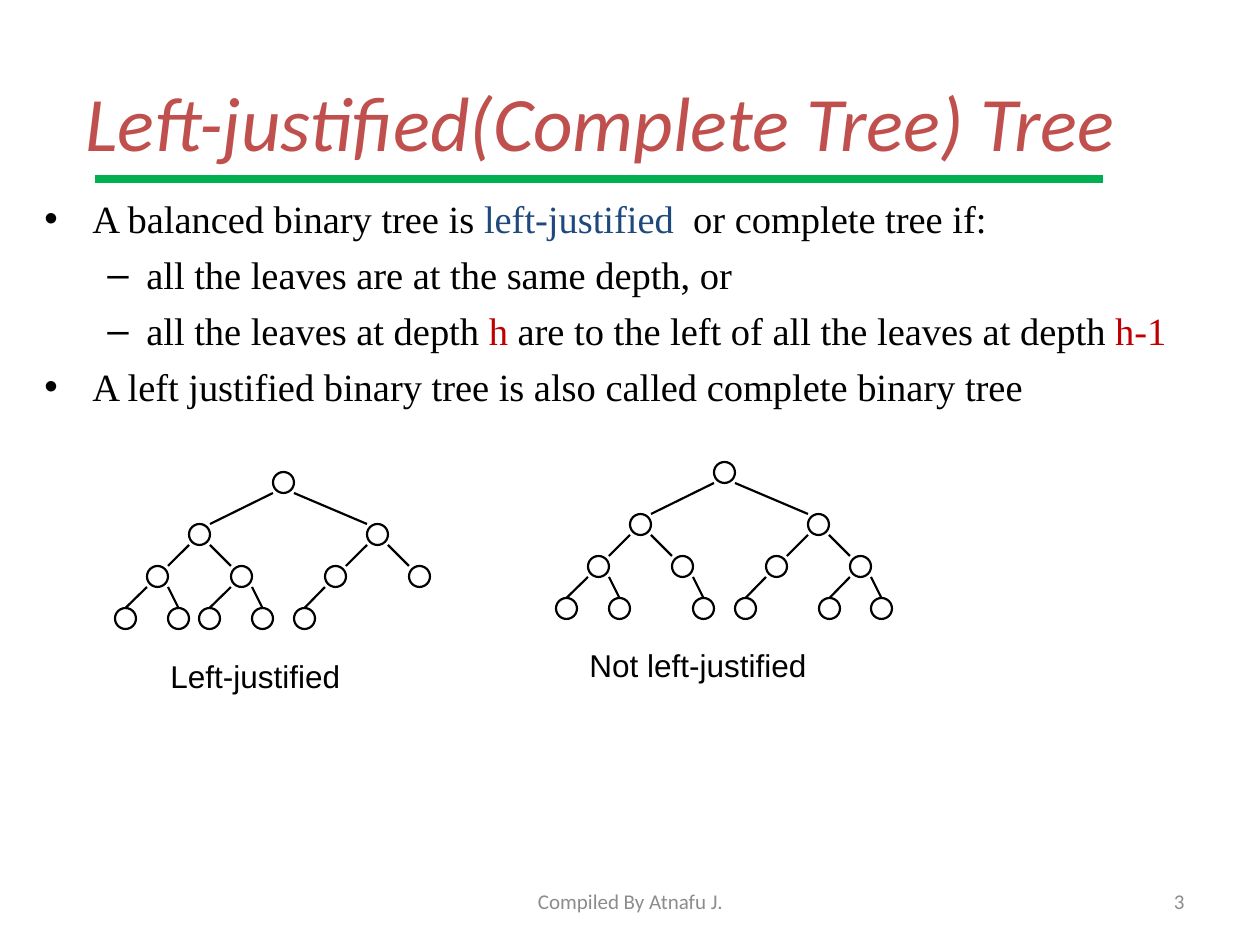
from lxml.etree import SubElement
from pptx import Presentation
from pptx.dml.color import RGBColor
from pptx.enum.shapes import MSO_CONNECTOR as CONN, MSO_SHAPE as SHAPE
from pptx.enum.text import MSO_ANCHOR as ANCHOR, PP_ALIGN as ALIGN
from pptx.oxml.ns import qn
from pptx.util import Pt

# Content
COLORS = {"title": "C0504D", "rule": "00B050", "text": "000000",
          "term": "1F497D", "depth": "C00000", "footer": "8C8C8C"}
FORMATS = {
    "title": {"name": "Calibri", "size": Pt(44), "italic": True},
    "body": {"name": "Times New Roman", "size": Pt(22)},
    "label": {"name": "Arial", "size": Pt(18)},
    "footer": {"name": "Calibri", "size": Pt(12)},
}
TITLE = "Left-justified(Complete Tree) Tree"
BULLETS = [  # level, runs of (text, colour)
    (0, [("A balanced binary tree is ", "text"), ("left-justified", "term"),
         ("  or complete tree if:", "text")]),
    (1, [("all the leaves are at the same depth, or", "text")]),
    (1, [("all the leaves at depth ", "text"), ("h", "depth"),
         (" are to the left of all the leaves at depth ", "text"),
         ("h-1", "depth")]),
    (0, [("A left justified binary tree is also called complete binary tree",
          "text")]),
]
LEVELS = [("•", 48, 48), ("–", 102, 39)]  # bullet, margin, hanging indent
TREES = [  # root left and top, leaves present, label and its box
    ((273, 472), range(8, 13), "Left-justified", (158, 651, 262, 63)),
    ((714, 462), (8, 9, 11, 12, 14, 15), "Not left-justified",
     (577, 640, 336, 63)),
]
# Node offsets from the root, numbered like a heap: children of n are 2n, 2n+1
NODE_X = [0, -84, 94, -126, -42, 52, 136, -158, -105, -74, -21, 21, 74, 105, 157]
DEPTH_Y = [0, 52, 94, 136]
NODE = 21

PX = 914400 / 126


def emu(*lengths):
    return [round(v * PX) for v in lengths]


def add_text(shapes, box, paragraphs, style, align=ALIGN.LEFT, anchor=ANCHOR.TOP):
    """Paragraphs are (level or None, runs); a level brings a bullet."""
    tf = shapes.add_textbox(*emu(*box)).text_frame
    tf.word_wrap = True
    tf.vertical_anchor = anchor
    for i, (level, runs) in enumerate(paragraphs):
        p = tf.paragraphs[0] if i == 0 else tf.add_paragraph()
        p.alignment = align
        if i:
            p.space_before = Pt(5.5)
        if level is not None:
            char, margin, hang = LEVELS[level]
            p.level = level
            pPr = p._p.get_or_add_pPr()
            pPr.set("marL", str(emu(margin)[0]))
            pPr.set("indent", str(-emu(hang)[0]))
            SubElement(pPr, qn("a:buFont"), typeface="Arial")
            SubElement(pPr, qn("a:buChar"), char=char)
        for text, color in runs:
            r = p.add_run()
            r.text = text
            for key, value in FORMATS[style].items():
                setattr(r.font, key, value)
            r.font.color.rgb = RGBColor.from_string(COLORS[color])


def add_line(shapes, start, end, color, width):
    line = shapes.add_connector(CONN.STRAIGHT, *emu(*start, *end))
    line.line.color.rgb = RGBColor.from_string(COLORS[color])
    line.line.width = Pt(width)
    SubElement(line._element.spPr, qn("a:effectLst"))


def add_tree(shapes, root, leaves, label, label_box):
    group = shapes.add_group_shape().shapes
    add_text(group, label_box, [(None, [(label, "text")])], "label")
    nodes = {n: (root[0] + NODE_X[n - 1], root[1] + DEPTH_Y[n.bit_length() - 1])
             for n in [*range(1, 8), *leaves]}
    for n, (x, y) in nodes.items():
        node = group.add_shape(SHAPE.OVAL, *emu(x, y, NODE, NODE))
        node.shadow.inherit = False
        node.fill.background()
        node.line.color.rgb = RGBColor.from_string(COLORS["text"])
        node.line.width = Pt(1.25)
        if n == 1:
            continue
        # Edge from the parent's lower corner to the child's top
        px, py = nodes[n // 2]
        is_right = n % 2
        start = (px + NODE * is_right, py + NODE)
        end_dx = NODE / 2 if n >= 8 else NODE * (1 - is_right)
        add_line(group, start, (x + end_dx, y), "text", 1.25)


prs = Presentation()
prs.slide_width, prs.slide_height = emu(1260, 945)
shapes = prs.slides.add_slide(prs.slide_layouts[6]).shapes

# Title and rule
add_text(shapes, (73, 42, 1134, 158), [(None, [(TITLE, "title")])], "title",
         anchor=ANCHOR.MIDDLE)
add_line(shapes, (95, 179), (1103, 179), "rule", 4.25)

# Definition
add_text(shapes, (32, 189, 1197, 651), BULLETS, "body")

# Example trees
for tree in TREES:
    add_tree(shapes, *tree)

# Footer
for text, box, align in [("3", (903, 876, 294, 50), ALIGN.RIGHT),
                         ("Compiled By Atnafu J.", (431, 876, 399, 50), ALIGN.CENTER)]:
    add_text(shapes, box, [(None, [(text, "footer")])], "footer", align, ANCHOR.MIDDLE)

prs.save("out.pptx")
